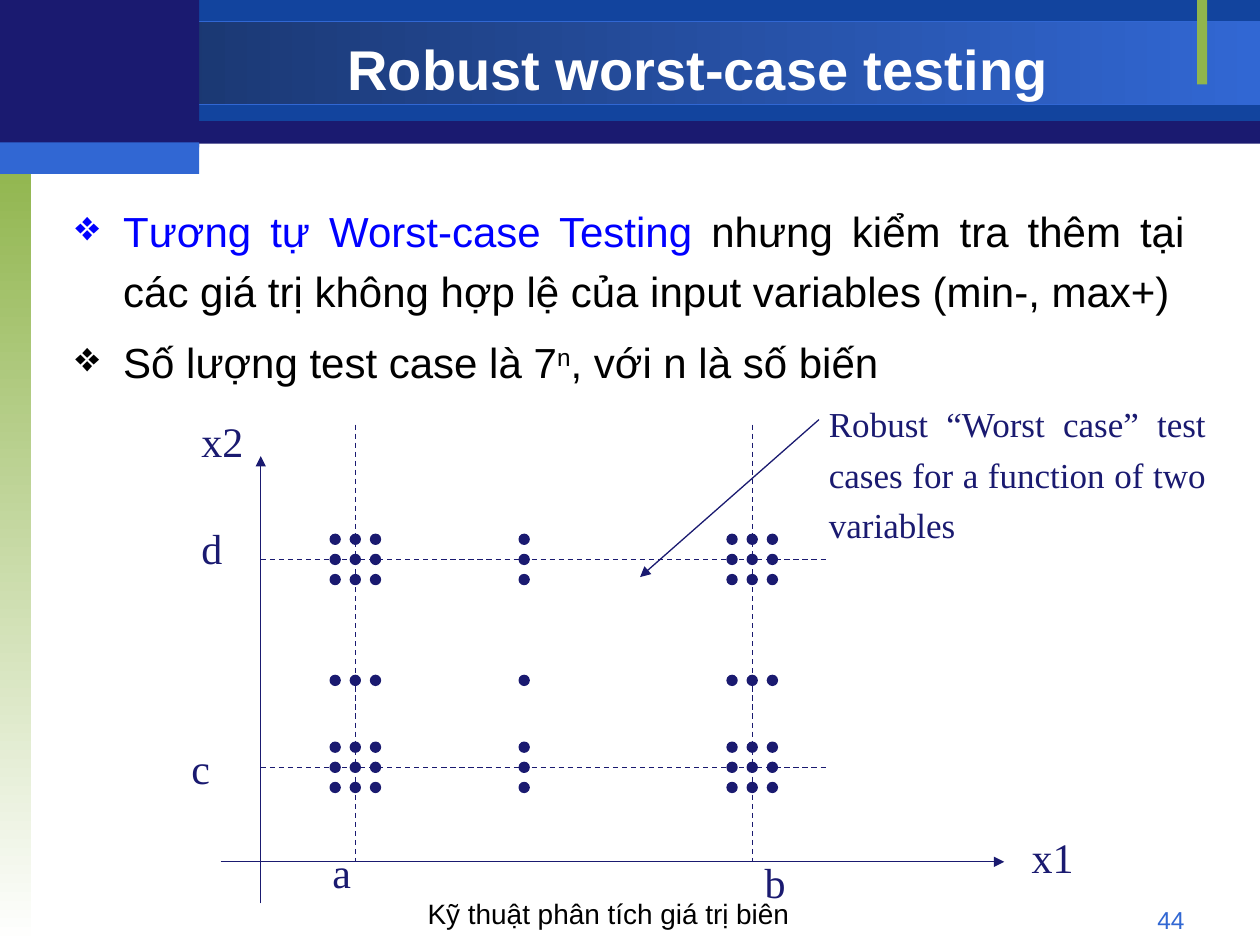
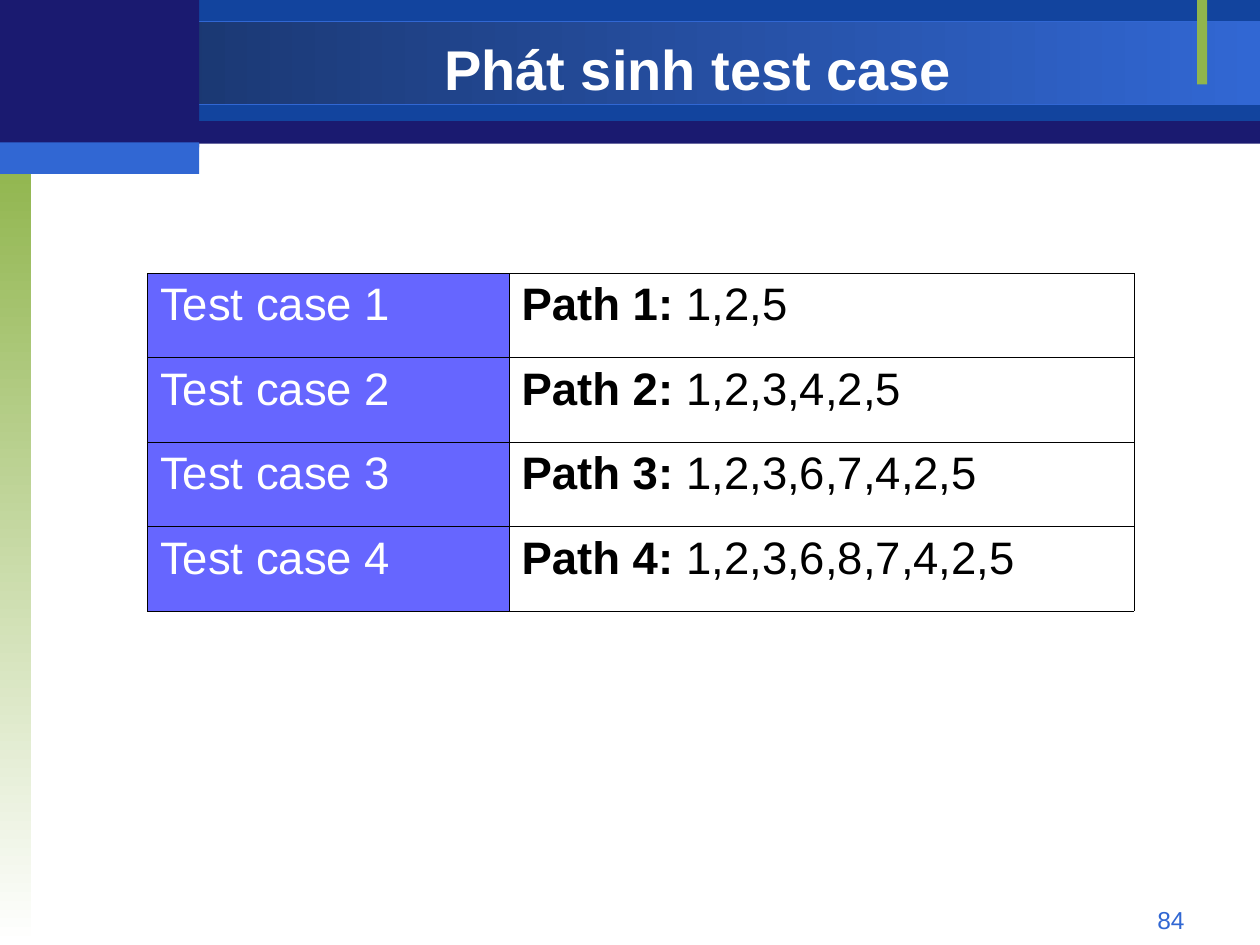
"""Builds two slides on software testing: robust worst-case testing and test case generation."""
from itertools import product

from lxml import etree
from pptx import Presentation
from pptx.dml.color import RGBColor
from pptx.enum.dml import MSO_LINE
from pptx.enum.shapes import MSO_CONNECTOR, MSO_SHAPE
from pptx.enum.text import MSO_ANCHOR, PP_ALIGN
from pptx.oxml.ns import qn
from pptx.util import Inches, Pt

RECT, OVAL, STRAIGHT = MSO_SHAPE.RECTANGLE, MSO_SHAPE.OVAL, MSO_CONNECTOR.STRAIGHT
LEFT, CENTER, RIGHT, JUSTIFY = PP_ALIGN.LEFT, PP_ALIGN.CENTER, PP_ALIGN.RIGHT, PP_ALIGN.JUSTIFY
TOP, MIDDLE, DASH = MSO_ANCHOR.TOP, MSO_ANCHOR.MIDDLE, MSO_LINE.DASH

W, H = 10, 7.5
NAVY, BLUE, SKY, GREEN = "1A1A70", "12449E", "3167D3", "90B54D"
DARK, LINK, VIOLET, WHITE, BLACK = "173062", "0000FF", "6666FF", "FFFFFF", "000000"
SANS, SERIF = "Arial", "Times New Roman"

SIDE = 1.58
BANDS = [
    ((0, 0.01, W, 1.13), NAVY, None),
    ((SIDE, 0, W - SIDE, 0.96), BLUE, None),
    ((0, 0.17, W, 0.66), (DARK, SKY, 0), SKY),
    ((0, 1.25, 0.25, H - 1.25), (GREEN, WHITE, 270), None),
    ((9.5, 0, 0.08, 0.67), GREEN, None),
    ((0, 0, SIDE, 1.17), NAVY, None),
    ((0, 1.13, SIDE, 0.25), SKY, None),
]

ROBUST_TITLE, ROBUST_NUMBER = "Robust worst-case testing", "44"
BULLETS = [
    [("Tương tự Worst-case Testing", LINK),
     (" nhưng kiểm tra thêm tại các giá trị không hợp lệ của input variables (min-, max+)", BLACK)],
    [("Số lượng test case là 7", BLACK), ("n", BLACK, False, 30), (", với n là số biến", BLACK)],
]
FOOTER = "Kỹ thuật phân tích giá trị biên"
CALLOUT = "Robust “Worst case” test cases for a function of two variables"

AXIS_X, AXIS_Y = 2.07, 6.84
A, MID_X, B = 2.82, 4.16, 5.97
D, MID_Y, C = 4.44, 5.4, 6.09
STEP, DOT = 0.16, 0.08
ARROWS = [
    (AXIS_X, 7.17, AXIS_X, 3.62),
    (1.75, AXIS_Y, 7.97, AXIS_Y),
    (6.5, 3.33, 5.08, 4.58),
]
LABELS = [
    ("x1", 8.09, 6.55, 0.53), ("x2", 1.5, 3.25, 0.53), ("a", 2.54, 6.67, 0.35),
    ("b", 5.97, 6.75, 0.36), ("c", 1.42, 5.84, 0.35), ("d", 1.5, 4.1, 0.36),
]

PATHS_TITLE, PATHS_NUMBER = "Phát sinh test case", "84"
PATHS = ["1,2,5", "1,2,3,4,2,5", "1,2,3,6,7,4,2,5", "1,2,3,6,8,7,4,2,5"]
TABLE_AT, COLUMNS, ROW_HEIGHT = (1.17, 2.17), (2.87, 4.96), 0.67


def rgb(color):
    return RGBColor.from_string(color)


def inches(values):
    return [Inches(v) for v in values]


def add_shape(s, kind, box, fill, line=None):
    sp = s.shapes.add_shape(kind, *inches(box))
    sp.shadow.inherit = False
    if isinstance(fill, tuple):
        start, end, angle = fill
        sp.fill.gradient()
        sp.fill.gradient_angle = angle
        for stop, color in zip(sp.fill.gradient_stops, (start, end)):
            stop.color.rgb = rgb(color)
    else:
        sp.fill.solid()
        sp.fill.fore_color.rgb = rgb(fill)
    if line:
        sp.line.color.rgb = rgb(line)
        sp.line.width = Pt(0.75)
    else:
        sp.line.fill.background()


def add_line(s, ends, dashed=False):
    line = s.shapes.add_connector(STRAIGHT, *inches(ends))
    line.line.color.rgb = rgb(NAVY)
    line.line.width = Pt(0.75)
    props = line._element.spPr
    if dashed:
        line.line.dash_style = DASH
    else:
        etree.SubElement(props.find(qn("a:ln")), qn("a:tailEnd"), type="triangle")
    etree.SubElement(props, qn("a:effectLst"))


def add_runs(p, runs, size, font):
    for text, color, *style in runs:
        bold, raised = (style + [False, 0][len(style):])
        r = p.add_run()
        r.text = text
        r.font.size, r.font.name, r.font.bold = Pt(size), font, bold
        r.font.color.rgb = rgb(color)
        if raised:
            r._r.get_or_add_rPr().set("baseline", str(raised * 1000))


def add_text(s, box, paragraphs, size, font=SANS, align=LEFT, anchor=TOP, wrap=True,
             spacing=None, bulleted=False):
    tf = s.shapes.add_textbox(*inches(box)).text_frame
    tf.word_wrap, tf.vertical_anchor = wrap, anchor
    for i, runs in enumerate(paragraphs):
        p = tf.add_paragraph() if i else tf.paragraphs[0]
        p.alignment, p.line_spacing = align, spacing
        if i:
            p.space_before = Pt(6)
        if bulleted:
            props = p._p.get_or_add_pPr()
            indent = Inches(0.38)
            props.set("marL", str(indent))
            props.set("indent", str(-indent))
            tint = etree.SubElement(props, qn("a:buClr"))
            etree.SubElement(tint, qn("a:srgbClr"), val=runs[0][1])
            etree.SubElement(props, qn("a:buChar"), char="❖")
        add_runs(p, runs, size, font)


def add_slide(prs, title, number):
    s = prs.slides.add_slide(prs.slide_layouts[6])
    for box, fill, line in BANDS:
        add_shape(s, RECT, box, fill, line)
    add_text(s, (7.17, 7.13, 2.33, 0.27), [[(number, SKY)]], 14, align=RIGHT)
    add_text(s, (SIDE, 0.25, 7.92, 0.58), [[(title, WHITE, True)]], 32, align=CENTER, anchor=MIDDLE)
    return s


def add_plot(s):
    for ends in ARROWS:
        add_line(s, ends)
    for x in (A, B):
        add_line(s, (x, 3.37, x, AXIS_Y), dashed=True)
    for y in (D, C):
        add_line(s, (AXIS_X, y, 6.56, y), dashed=True)
    offsets = (-STEP, 0, STEP)
    xs = [A + o for o in offsets] + [MID_X] + [B + o for o in offsets]
    ys = [D + o for o in offsets] + [MID_Y] + [C + o for o in offsets]
    for x, y in product(xs, ys):
        add_shape(s, OVAL, (x - DOT / 2, y - DOT / 2, DOT, DOT), NAVY, NAVY)
    for text, x, y, width in LABELS:
        add_text(s, (x, y, width, 0.5), [[(text, NAVY)]], 24, SERIF, wrap=False)


def add_border(cell):
    props = cell._tc.get_or_add_tcPr()
    for side in ("lnL", "lnR", "lnT", "lnB"):
        ln = etree.SubElement(props, qn(f"a:{side}"), w=str(Pt(0.45)))
        fill = etree.SubElement(ln, qn("a:solidFill"))
        etree.SubElement(fill, qn("a:srgbClr"), val=BLACK)


def add_paths(s):
    size = (sum(COLUMNS), ROW_HEIGHT * len(PATHS))
    table = s.shapes.add_table(len(PATHS), len(COLUMNS), *inches(TABLE_AT + size)).table
    table.first_row = table.horz_banding = False
    for column, width in zip(table.columns, COLUMNS):
        column.width = Inches(width)
    for i, path_steps in enumerate(PATHS):
        table.rows[i].height = Inches(ROW_HEIGHT)
        cells = [
            ([(f"Test case {i + 1}", WHITE)], VIOLET),
            ([(f"Path {i + 1}: ", BLACK, True), (path_steps, BLACK)], WHITE),
        ]
        for j, (runs, fill) in enumerate(cells):
            cell = table.cell(i, j)
            add_border(cell)
            cell.fill.solid()
            cell.fill.fore_color.rgb = rgb(fill)
            add_runs(cell.text_frame.paragraphs[0], runs, 26, SANS)


def main():
    prs = Presentation()
    prs.slide_width, prs.slide_height = inches((W, H))

    s = add_slide(prs, ROBUST_TITLE, ROBUST_NUMBER)
    add_text(s, (0.5, 1.5, 9, 5.5), BULLETS, 24, align=JUSTIFY, spacing=1.2, bulleted=True)
    add_text(s, (2.08, 7, 5.5, 0.5), [[(FOOTER, BLACK)]], 16, align=CENTER, anchor=MIDDLE, wrap=False)
    add_plot(s)
    add_text(s, (6.48, 3.08, 3.19, 1.3), [[(CALLOUT, NAVY)]], 20, SERIF, JUSTIFY, spacing=1.2)

    s = add_slide(prs, PATHS_TITLE, PATHS_NUMBER)
    add_paths(s)

    prs.save("out.pptx")


if __name__ == "__main__":
    main()
